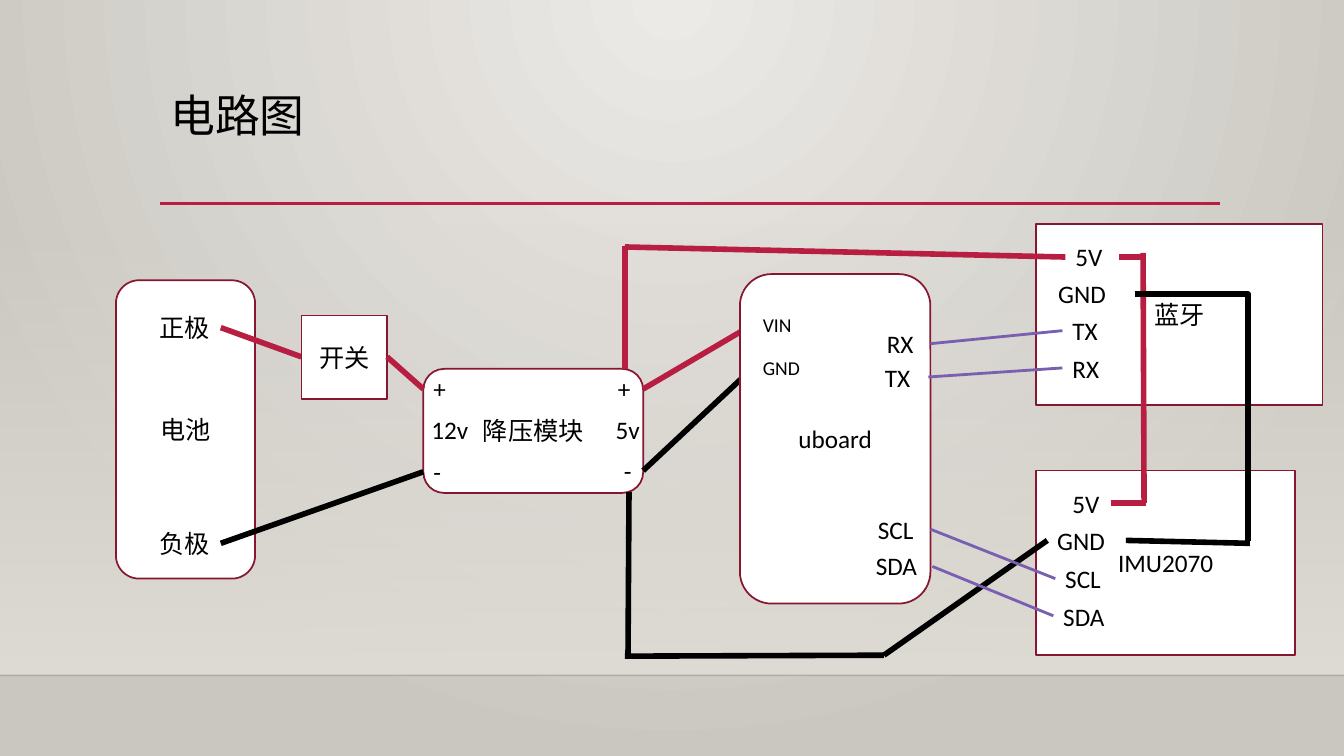
from dataclasses import dataclass

from lxml import etree
from pptx import Presentation
from pptx.dml.color import RGBColor
from pptx.enum.shapes import MSO_CONNECTOR as Connector, MSO_SHAPE as Preset
from pptx.enum.text import MSO_ANCHOR as Anchor, MSO_AUTO_SIZE as AutoSize, PP_ALIGN as Align
from pptx.oxml.ns import qn
from pptx.util import Pt

FONT = "Calibri"
BLACK, WHITE = "000000", "FFFFFF"
RED, DARK_RED, VIOLET = "B71E42", "871631", "795FAF"
HAZE = "DFDBD5"
WIDTH, HEIGHT, FLOOR = 960, 540, 482.4
A_NS = "http://schemas.openxmlformats.org/drawingml/2006/main"


@dataclass
class Pin:
    text: str
    left: float
    top: float
    width: float
    size: float = 18


@dataclass
class Module:
    name: str
    box: tuple[float, float, float, float]
    preset: Preset
    pins: tuple[Pin, ...] = ()


@dataclass
class Wire:
    start: tuple[float, float]
    end: tuple[float, float]
    color: str = BLACK
    weight: float = 4
    bent: bool = False


def pin_column(top: float, step: float, rows: list[tuple[str, float, float]]) -> tuple[Pin, ...]:
    """Stack pins, given as (text, left, width), at equal steps."""
    return tuple(Pin(text, left, top + step * i, width) for i, (text, left, width) in enumerate(rows))


BATTERY = Module("电池", (82.8, 200.2, 99.4, 213.1), Preset.ROUNDED_RECTANGLE, (
    Pin("正极", 106.6, 219.6, 51),
    Pin("负极", 106.6, 373.7, 51),
))
CONVERTER = Module("降压模块", (302.4, 263.5, 157, 88.6), Preset.ROUNDED_RECTANGLE, (
    Pin("+", 302.4, 263.3, 25.2),
    Pin("+", 434.2, 263.3, 25.2),
    Pin("-", 302.4, 322.4, 20.2),
    Pin("-", 438.5, 322, 20.2),
    Pin("12v", 301, 292.3, 43),
    Pin("5v", 432.7, 292.3, 33),
))
BLUETOOTH = Module("蓝牙", (740.2, 159.8, 204.5, 129.6), Preset.RECTANGLE, pin_column(169, 26.5, [
    ("5V", 761, 38.2), ("GND", 748.8, 61.9), ("TX", 758.9, 42.5), ("RX", 758.9, 42.5),
]))
MOTION_SENSOR = Module("IMU2070", (740.2, 336.2, 185, 131.8), Preset.RECTANGLE, pin_column(344.9, 27, [
    ("5V", 758.9, 34.6), ("GND", 748.1, 56.2), ("SCL", 753.8, 44.6), ("SDA", 752.4, 47.5),
]))
CONTROLLER = Module("uboard", (528.5, 195.8, 136.1, 235.4), Preset.ROUNDED_RECTANGLE, (
    Pin("VIN", 537.8, 219.8, 37.4, 14),
    Pin("GND", 537.8, 250.6, 46.8, 14),
    Pin("TX", 625, 254.9, 38.2),
    Pin("RX", 626.4, 231.1, 38.2),
    Pin("SCL", 619.9, 363.6, 44.6),
    Pin("SDA", 618.5, 389.5, 47.5),
))
SWITCH = Module("开关", (215.3, 225.4, 61.2, 59.8), Preset.RECTANGLE)

# Everything on the diagram from back to front
DIAGRAM = [
    BATTERY,
    CONVERTER,
    Wire((157.7, 234), (215.3, 254.9), RED),
    Wire((157.7, 388.1), (302.4, 337)),
    Wire((459.4, 277.9), (537.8, 231.8), RED),
    Wire((459.4, 336.2), (537.8, 262.8)),
    BLUETOOTH,
    MOTION_SENSOR,
    Wire((761, 183.6), (446.4, 176.4), RED),
    Wire((446.4, 175.7), (446.4, 263.5), RED),
    Wire((793.4, 359.3), (818.6, 359.3), RED),
    Wire((817.2, 359.3), (816.5, 180.7), RED),
    Wire((815.8, 183.6), (799.2, 183.6), RED),
    Wire((810.7, 210.2), (891.4, 386.3), bent=True),
    Wire((892.8, 388.1), (804.2, 386)),
    Wire((748.1, 386), (631.4, 468)),
    Wire((631.4, 468), (446.4, 468.7)),
    Wire((449.3, 351.4), (448.6, 468.7)),
    CONTROLLER,
    Wire((758.9, 236.2), (664.6, 245.5), VIOLET, 2),
    Wire((758.9, 262.8), (663.1, 269.3), VIOLET, 2),
    Wire((753.8, 413.3), (664.6, 378), VIOLET, 2),
    Wire((752.4, 439.9), (666, 404.6), VIOLET, 2),
    SWITCH,
    Wire((276.5, 254.9), (302.4, 277.9), RED),
]


def rgb(color: str) -> RGBColor:
    return RGBColor.from_string(color)


def write(frame, text: str, *, size: float = 18, align=Align.LEFT, anchor=Anchor.TOP,
          wrap: bool = True, fit=AutoSize.NONE, spacing: float = 1.0) -> None:
    frame.word_wrap, frame.auto_size, frame.vertical_anchor = wrap, fit, anchor
    para = frame.paragraphs[0]
    para.alignment, para.line_spacing = align, spacing
    span = para.add_run()
    span.text = text
    span.font.name, span.font.size = FONT, Pt(size)
    span.font.color.rgb = rgb(BLACK)


def replace_with_gradient(solid, stops: list[tuple[int, str, int]], direction: str) -> None:
    """Swap a solid fill element for stops of (position, colour, opacity), in percent."""
    marks = "".join(
        f'<a:gs pos="{place * 1000}"><a:srgbClr val="{color}">'
        f'<a:alpha val="{opacity * 1000}"/></a:srgbClr></a:gs>'
        for place, color, opacity in stops)
    gradient = etree.fromstring(
        f'<a:gradFill xmlns:a="{A_NS}" rotWithShape="1"><a:gsLst>{marks}</a:gsLst>{direction}</a:gradFill>')
    solid.getparent().replace(solid, gradient)


def draw_wire(shapes, wire: Wire):
    kind = Connector.ELBOW if wire.bent else Connector.STRAIGHT
    line = shapes.add_connector(kind, *(Pt(value) for value in wire.start + wire.end))
    if wire.bent:
        line.element.xpath(".//a:prstGeom")[0].set("prst", "bentConnector2")
    line.line.color.rgb = rgb(wire.color)
    line.line.width = Pt(wire.weight)
    etree.SubElement(line.element.spPr, qn("a:effectLst"))
    return line


def draw_module(shapes, module: Module) -> None:
    if module.pins:
        shapes = shapes.add_group_shape().shapes
    body = shapes.add_shape(module.preset, *map(Pt, module.box))
    body.shadow.inherit = False
    body.fill.solid()
    body.fill.fore_color.rgb = rgb(WHITE)
    body.line.color.rgb = rgb(DARK_RED)
    body.line.width = Pt(1.25)
    write(body.text_frame, module.name, align=Align.CENTER, anchor=Anchor.MIDDLE)
    for pin in module.pins:
        height = 29 if pin.size == 18 else 24.2
        label = shapes.add_textbox(Pt(pin.left), Pt(pin.top), Pt(pin.width), Pt(height))
        write(label.text_frame, pin.text, size=pin.size, wrap=False, fit=AutoSize.SHAPE_TO_FIT_TEXT)


def draw_backdrop(page) -> None:
    page.background.fill.solid()
    replace_with_gradient(
        page.element.xpath(".//p:bgPr/a:solidFill")[0],
        [(0, "ECEAE7", 100), (100, "CAC7C1", 100)],
        '<a:path path="circle"><a:fillToRect l="43000" t="0" r="43000" b="100000"/></a:path>')
    wall = page.shapes.add_shape(Preset.RECTANGLE, 0, Pt(159), Pt(WIDTH), Pt(FLOOR - 159))
    wall.shadow.inherit = False
    wall.line.fill.background()
    wall.fill.solid()
    replace_with_gradient(
        wall.element.xpath("./p:spPr/a:solidFill")[0],
        [(0, HAZE, 0), (100, HAZE, 100)], '<a:lin ang="5400000" scaled="0"/>')
    edge = draw_wire(page.shapes, Wire((0, FLOOR), (WIDTH, FLOOR), BLACK, 1))
    tint = edge.element.xpath(".//a:ln//a:srgbClr")[0]
    etree.SubElement(tint, qn("a:alpha")).set("val", "20000")
    draw_wire(page.shapes, Wire((114.5, 145.4), (871.2, 145.4), RED, 2.5))


def main() -> None:
    deck = Presentation()
    deck.slide_width, deck.slide_height = Pt(WIDTH), Pt(HEIGHT)
    page = deck.slides.add_slide(deck.slide_layouts[5])
    draw_backdrop(page)
    title = page.shapes.title
    title.left, title.top, title.width, title.height = Pt(114.5), Pt(63.4), Pt(756), Pt(82.8)
    write(title.text_frame, "电路图", size=32, spacing=0.9)
    for item in DIAGRAM:
        if isinstance(item, Module):
            draw_module(page.shapes, item)
        else:
            draw_wire(page.shapes, item)
    deck.save("out.pptx")


if __name__ == "__main__":
    main()
